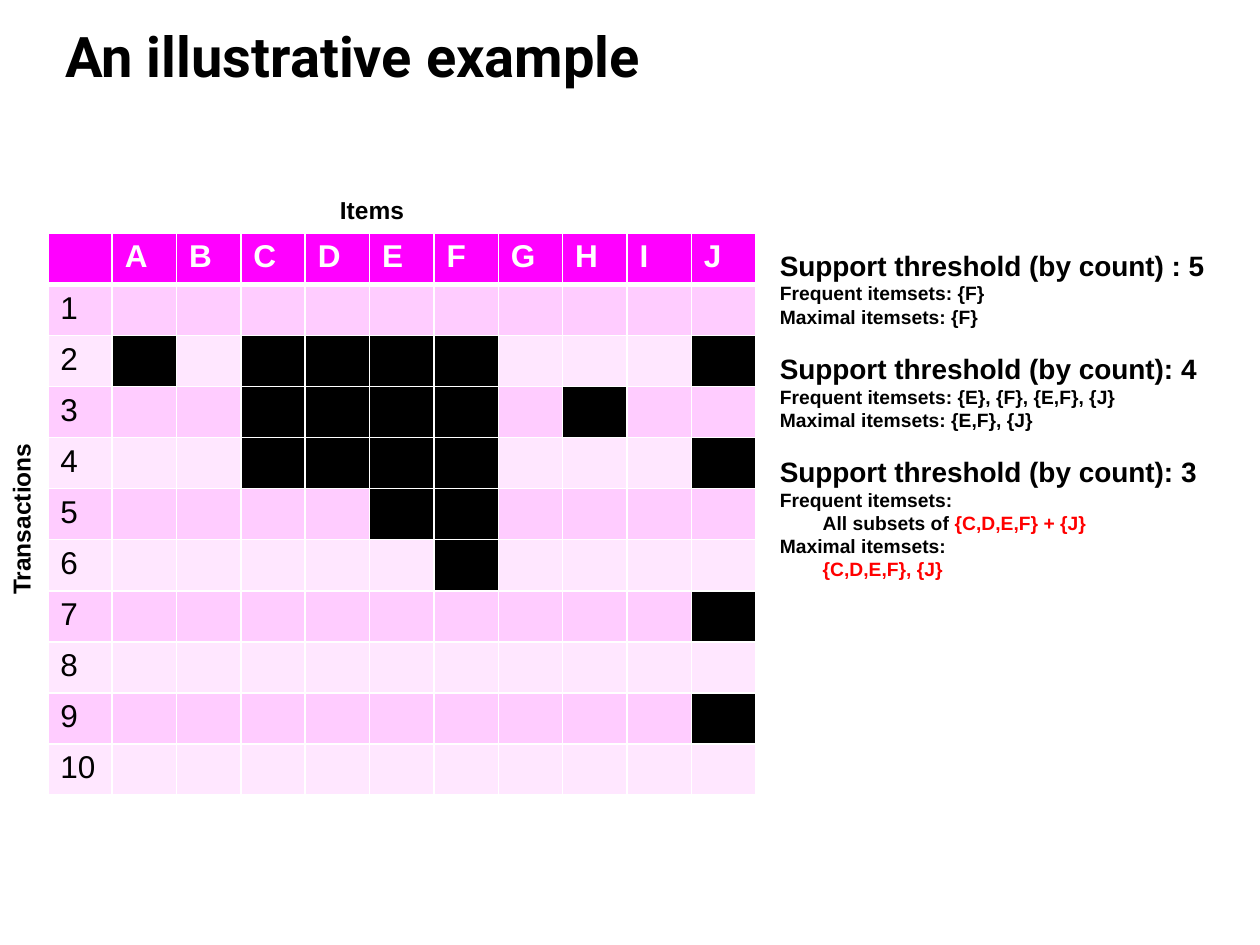
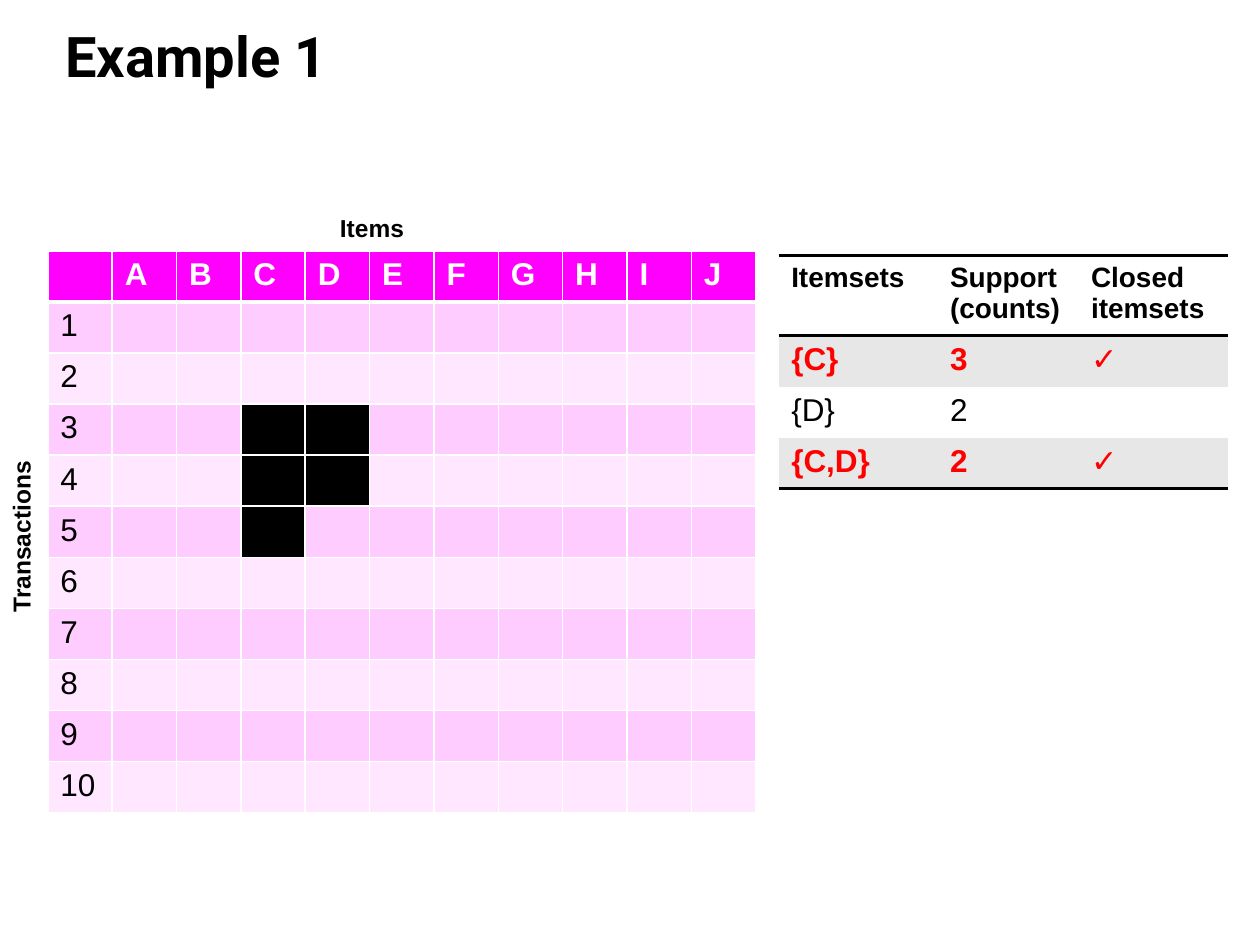
from dataclasses import dataclass

import lxml.etree
import pptx
import pptx.dml.color
import pptx.enum.text
import pptx.oxml.ns
import pptx.util

Pt = pptx.util.Pt
RGBColor = pptx.dml.color.RGBColor

# Shared look
BLACK = RGBColor(0x00, 0x00, 0x00)
WHITE = RGBColor(0xFF, 0xFF, 0xFF)
RED = RGBColor(0xFF, 0x00, 0x00)
MAGENTA = RGBColor(0xFF, 0x00, 0xFF)
PINK = RGBColor(0xFF, 0xCC, 0xFF)
PALE_PINK = RGBColor(0xFF, 0xE7, 0xFF)
GREY = RGBColor(0xE7, 0xE7, 0xE7)
BODY_FONT = "Arial"
TITLE_FONT = "Roboto"

# Transaction grid
ITEMS = "ABCDEFGHIJ"
TRANSACTION_COUNT = 10
GRID_LEFT = 27.36
COLUMN_WIDTH = 36.78
ROW_HEIGHT = 29.2


@dataclass(frozen=True)
class Box:
    left: float
    top: float
    width: float
    height: float

    def lengths(self) -> tuple:
        return Pt(self.left), Pt(self.top), Pt(self.width), Pt(self.height)


@dataclass(frozen=True)
class Border:
    color: RGBColor
    width: float


@dataclass(frozen=True)
class Line:
    """A line of findings: black text, then red text."""
    black: str = ""
    red: str = ""
    indent: float = 0


@dataclass(frozen=True)
class Threshold:
    heading: str
    lines: tuple[Line, ...]


@dataclass(frozen=True)
class Itemset:
    name: str
    support: int
    closed: bool


THRESHOLDS = (
    Threshold("Support threshold (by count) : 5", (
        Line("Frequent itemsets: {F}"),
        Line("Maximal itemsets: {F}"))),
    Threshold("Support threshold (by count): 4", (
        Line("Frequent itemsets: {E}, {F}, {E,F}, {J}"),
        Line("Maximal itemsets: {E,F}, {J}"))),
    Threshold("Support threshold (by count): 3", (
        Line("Frequent itemsets:"),
        Line("All subsets of ", "{C,D,E,F} + {J}", indent=24.5),
        Line("Maximal itemsets:"),
        Line(red="{C,D,E,F}, {J}", indent=24.5))),
)
ITEMSETS = (
    Itemset("{C}", 3, True),
    Itemset("{D}", 2, False),
    Itemset("{C,D}", 2, True),
)
# Items bought in each transaction
ILLUSTRATIVE_BASKETS = {2: "ACDEFJ", 3: "CDEFH", 4: "CDEFJ", 5: "EF", 6: "F", 7: "J", 9: "J"}
EXAMPLE_1_BASKETS = {3: "CD", 4: "CD", 5: "C"}


def style(paragraph, size: float, color: RGBColor | None = BLACK,
          bold: bool = True, name: str = BODY_FONT) -> None:
    font = paragraph.font
    font.size, font.bold, font.name = Pt(size), bold, name
    if color is not None:
        font.color.rgb = color


def add_text_frame(slide, box: Box, rotation: float = 0):
    shape = slide.shapes.add_textbox(*box.lengths())
    shape.rotation = rotation
    shape.text_frame.word_wrap = True
    return shape.text_frame


def add_label(slide, box: Box, text: str, rotation: float = 0) -> None:
    frame = add_text_frame(slide, box, rotation)
    frame.text = text
    style(frame.paragraphs[0], 14)


def add_title(slide, text: str) -> None:
    frame = add_text_frame(slide, Box(30.24, 12.24, 652.3, 41.76))
    frame.vertical_anchor = pptx.enum.text.MSO_ANCHOR.BOTTOM
    frame.text = text
    frame.paragraphs[0].line_spacing = Pt(36)
    style(frame.paragraphs[0], 32, name=TITLE_FONT)


def set_borders(cell, **borders: Border) -> None:
    """Draw the sides given as L, R, T and B; the others have no line."""
    properties = cell._tc.get_or_add_tcPr()
    for side in "LRTB":
        line = lxml.etree.SubElement(properties, pptx.oxml.ns.qn(f"a:ln{side}"))
        border = borders.get(side)
        if border is None:
            line.set("w", "0")
            lxml.etree.SubElement(line, pptx.oxml.ns.qn("a:noFill"))
            continue
        line.set("w", str(Pt(border.width)))
        fill = lxml.etree.SubElement(line, pptx.oxml.ns.qn("a:solidFill"))
        color = lxml.etree.SubElement(fill, pptx.oxml.ns.qn("a:srgbClr"))
        color.set("val", str(border.color))


def fill_cell(cell, fill: RGBColor, text: str, size: float, color: RGBColor, bold: bool) -> None:
    cell.fill.solid()
    cell.fill.fore_color.rgb = fill
    cell.text = text
    for paragraph in cell.text_frame.paragraphs:
        style(paragraph, size, color, bold)


def add_table(slide, left: float, top: float, widths: list[float], heights: list[float]):
    box = Box(left, top, sum(widths), sum(heights))
    table = slide.shapes.add_table(len(heights), len(widths), *box.lengths()).table
    for column, width in zip(table.columns, widths):
        column.width = Pt(width)
    for row, height in zip(table.rows, heights):
        row.height = Pt(height)
    return table


def add_transaction_grid(slide, top: float, baskets: dict[int, str]) -> None:
    thin, thick = Border(WHITE, 1), Border(WHITE, 3)
    table = add_table(slide, GRID_LEFT, top, [COLUMN_WIDTH] * (len(ITEMS) + 1),
                      [ROW_HEIGHT] * (TRANSACTION_COUNT + 1))
    for transaction in range(TRANSACTION_COUNT + 1):
        is_header = transaction == 0
        band = MAGENTA if is_header else PINK if transaction % 2 else PALE_PINK
        for column, item in enumerate(("", *ITEMS)):
            cell = table.cell(transaction, column)
            set_borders(cell, L=thin, R=thin, T=thick if transaction == 1 else thin,
                        B=thick if is_header else thin)
            bought = item and item in baskets.get(transaction, "")
            text = item if is_header else "" if item else str(transaction)
            fill_cell(cell, BLACK if bought else band, text, 18,
                      WHITE if is_header else BLACK, is_header)
    # Axis labels
    add_label(slide, Box(187.2, top - 25.2, 55.44, 28.8), "Items")
    add_label(slide, Box(-38.88, top + 146.16, 106.56, 28.8), "Transactions", rotation=270)


def add_thresholds(slide) -> None:
    frame = add_text_frame(slide, Box(438.48, 138.24, 260.64, 203.76))
    for index, threshold in enumerate(THRESHOLDS):
        heading = frame.add_paragraph() if index else frame.paragraphs[0]
        heading.text = threshold.heading
        if index:
            heading.space_before = Pt(13.4)
        style(heading, 16)
        for line in threshold.lines:
            paragraph = frame.add_paragraph()
            if line.indent:
                paragraph._p.get_or_add_pPr().set("marL", str(Pt(line.indent)))
            style(paragraph, 11, color=None)
            for text, color in ((line.black, BLACK), (line.red, RED)):
                if text:
                    run = paragraph.add_run()
                    run.text = text
                    run.font.color.rgb = color


def add_itemset_table(slide) -> None:
    rule = Border(BLACK, 2)
    table = add_table(slide, 444.96, 146.16, [90.72, 80.64, 85.68],
                      [45.6] + [ROW_HEIGHT] * len(ITEMSETS))
    for column, heading in enumerate(("Itemsets", "Support\n(counts)", "Closed itemsets")):
        cell = table.cell(0, column)
        set_borders(cell, T=rule, B=rule)
        fill_cell(cell, WHITE, heading, 16, BLACK, True)
    for row, itemset in enumerate(ITEMSETS, start=1):
        sides = {}
        if row == 1:
            sides["T"] = rule
        if row == len(ITEMSETS):
            sides["B"] = rule
        values = (itemset.name, str(itemset.support), "✓" if itemset.closed else "")
        for column, value in enumerate(values):
            cell = table.cell(row, column)
            set_borders(cell, **sides)
            fill_cell(cell, GREY if row % 2 else WHITE, value, 18,
                      RED if itemset.closed else BLACK, itemset.closed)


def add_slide(presentation, title: str, grid_top: float, baskets: dict[int, str]):
    slide = presentation.slides.add_slide(presentation.slide_layouts[6])
    add_title(slide, title)
    add_transaction_grid(slide, grid_top, baskets)
    return slide


def main() -> None:
    presentation = pptx.Presentation()
    presentation.slide_width, presentation.slide_height = Pt(720), Pt(540)

    # Frequent and maximal itemsets
    illustrative = add_slide(presentation, "An illustrative example", 133.2, ILLUSTRATIVE_BASKETS)
    add_thresholds(illustrative)

    # Closed itemsets
    example_1 = add_slide(presentation, "Example 1", 143.28, EXAMPLE_1_BASKETS)
    add_itemset_table(example_1)

    presentation.save("out.pptx")


if __name__ == "__main__":
    main()
